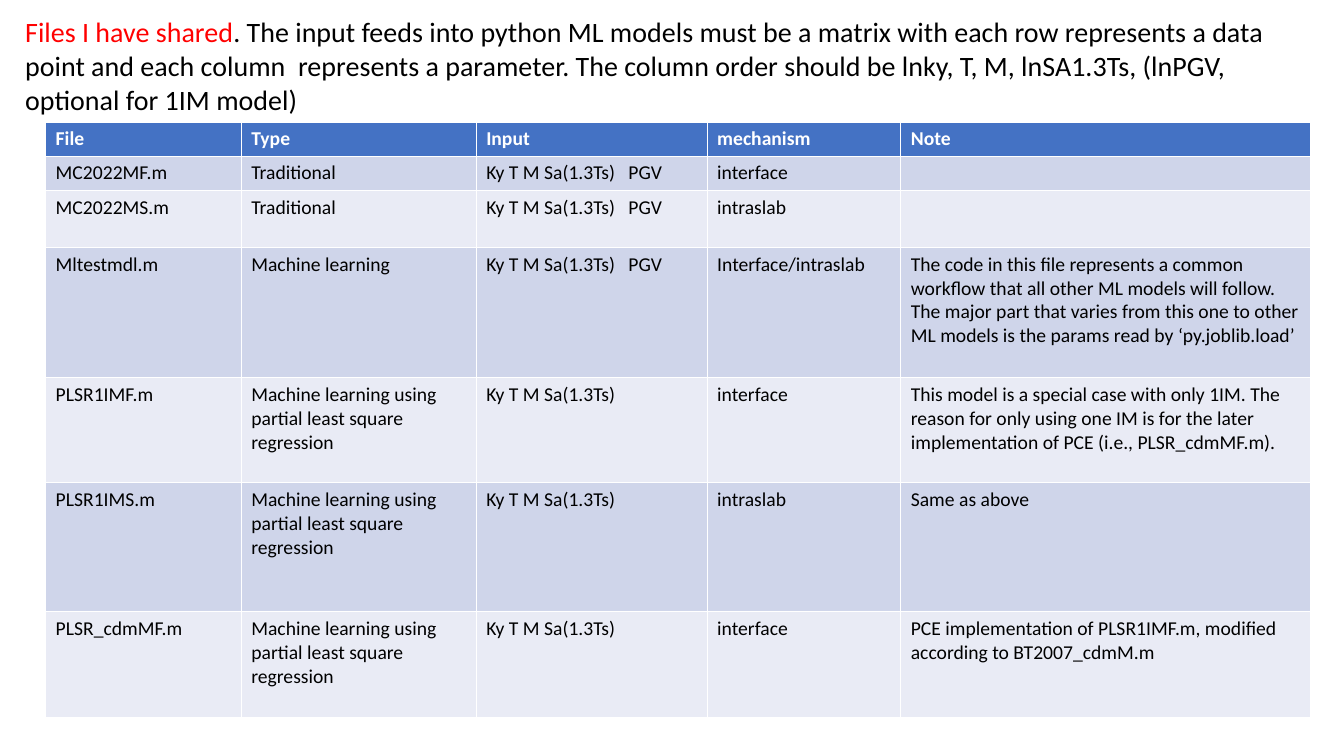
"""Build a slide that lists the shared model files in a table."""
from lxml.etree import SubElement
from pptx import Presentation
from pptx.dml.color import RGBColor
from pptx.enum.text import MSO_ANCHOR, MSO_AUTO_SIZE, PP_ALIGN
from pptx.oxml.ns import qn
from pptx.util import Cm, Pt

FONT = "Calibri"
RED = RGBColor(0xFF, 0x00, 0x00)
BLACK = RGBColor(0x00, 0x00, 0x00)
WHITE = RGBColor(0xFF, 0xFF, 0xFF)
HEADER = RGBColor(0x44, 0x72, 0xC4)
BANDS = [RGBColor(0xE9, 0xEB, 0xF5), RGBColor(0xCF, 0xD5, 0xEA)]

ONE_IM = "Ky T M Sa(1.3Ts)"
TWO_IM = ONE_IM + "   PGV"
PLSR = "Machine learning using partial least square regression"
COL_WIDTHS = [4.93, 5.92, 5.82, 4.88, 10.34]
ROW_HEIGHTS = [0.83, 0.86, 1.44, 3.28, 2.65, 3.25, 2.67]
ROWS = [
    ["File", "Type", "Input", "mechanism", "Note"],
    ["MC2022MF.m", "Traditional", TWO_IM, "interface", ""],
    ["MC2022MS.m", "Traditional", TWO_IM, "intraslab", ""],
    ["Mltestmdl.m", "Machine learning", TWO_IM, "Interface/intraslab",
     "The code in this file represents a common workflow that all other ML "
     "models will follow. The major part that varies from this one to other "
     "ML models is the params read by ‘py.joblib.load’"],
    ["PLSR1IMF.m", PLSR, ONE_IM, "interface",
     "This model is a special case with only 1IM. The reason for only using "
     "one IM is for the later implementation of PCE (i.e., PLSR_cdmMF.m)."],
    ["PLSR1IMS.m", PLSR, ONE_IM, "intraslab", "Same as above"],
    ["PLSR_cdmMF.m", PLSR, ONE_IM, "interface",
     "PCE implementation of PLSR1IMF.m, modified according to BT2007_cdmM.m"],
]
TITLE = [
    ("Files I have shared", RED),
    (". The input feeds into python ML models must be a matrix with each row "
     "represents a data point and each column  represents a parameter. The "
     "column order should be lnky, T, M, lnSA1.3Ts, (lnPGV, optional for 1IM "
     "model)", BLACK),
]

prs = Presentation()
prs.slide_width, prs.slide_height = Cm(33.87), Cm(19.05)
s = prs.slides.add_slide(prs.slide_layouts[5])

title = s.shapes.title
title.left, title.top = Cm(0.38), Cm(0.25)
title.width, title.height = Cm(32.33), Cm(2.82)
tf = title.text_frame
tf.word_wrap = True
tf.auto_size = MSO_AUTO_SIZE.NONE
tf.vertical_anchor = MSO_ANCHOR.TOP
p = tf.paragraphs[0]
p.alignment = PP_ALIGN.LEFT
p.font.name, p.font.size = FONT, Pt(20)
for text, color in TITLE:
    r = p.add_run()
    r.text = text
    r.font.color.rgb = color

table = s.shapes.add_table(
    len(ROWS), len(COL_WIDTHS), Cm(1.15), Cm(3.08),
    Cm(sum(COL_WIDTHS)), Cm(sum(ROW_HEIGHTS))).table
for column, width in zip(table.columns, COL_WIDTHS):
    column.width = Cm(width)
for i, (row, height) in enumerate(zip(ROWS, ROW_HEIGHTS)):
    table.rows[i].height = Cm(height)
    for j, text in enumerate(row):
        cell = table.cell(i, j)
        cell.fill.solid()
        cell.fill.fore_color.rgb = BANDS[i % 2] if i else HEADER
        cell.text = text
        p = cell.text_frame.paragraphs[0]
        p.font.name, p.font.size = FONT, Pt(14)
        p.font.bold = i == 0
        p.font.color.rgb = BLACK if i else WHITE
        if not text:
            SubElement(p._p, qn("a:endParaRPr"), sz="1400")

prs.save("out.pptx")
